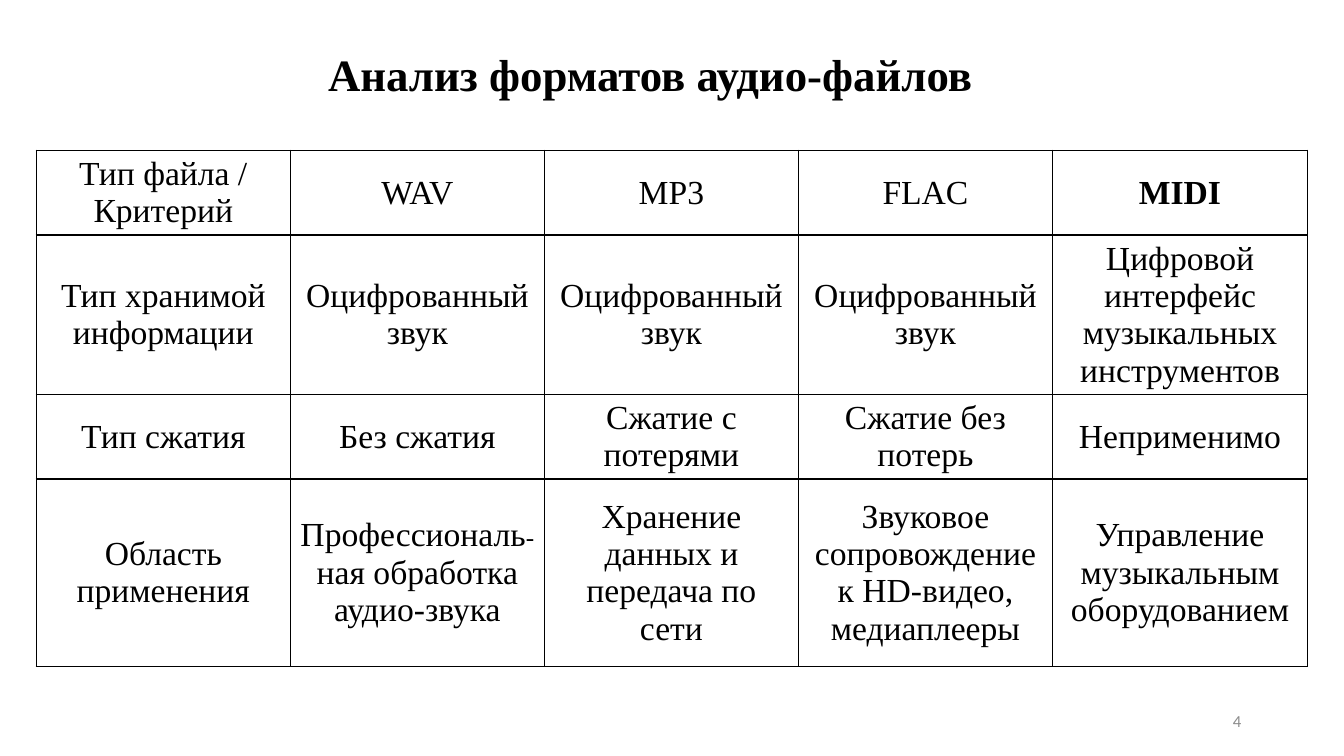
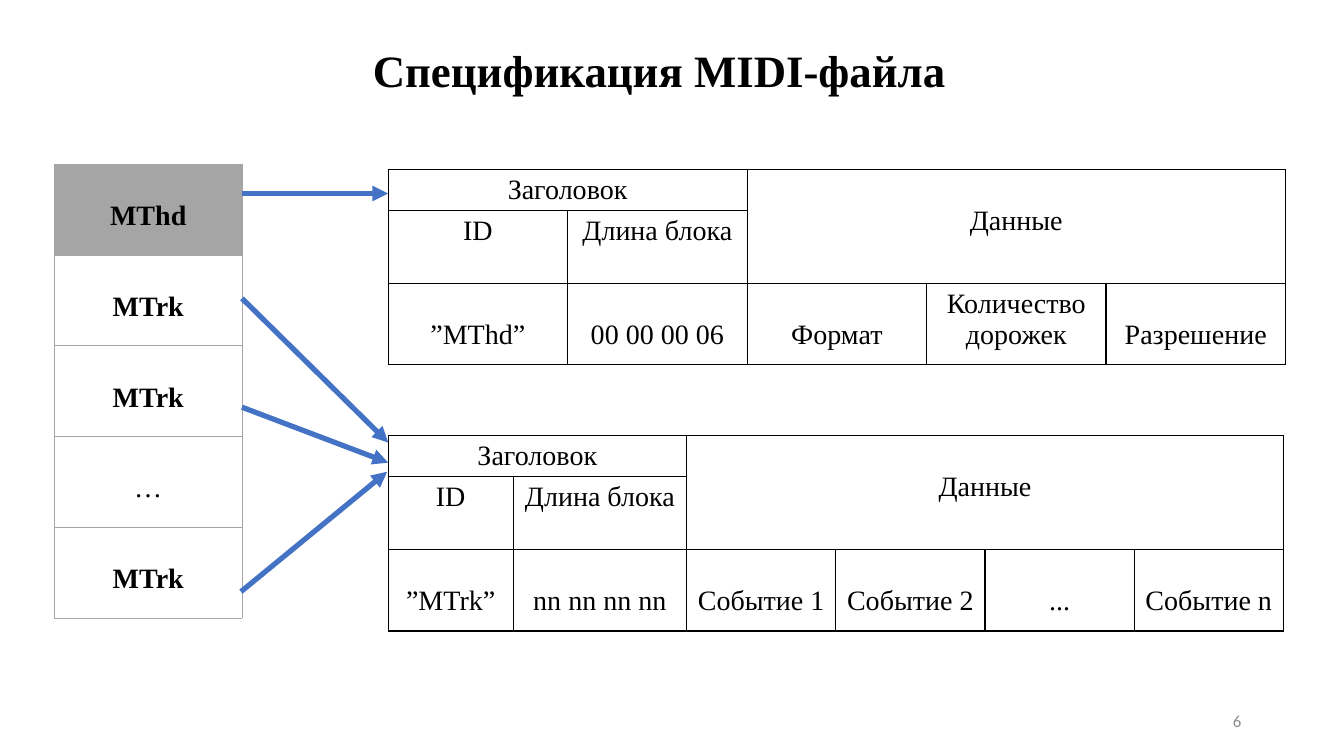
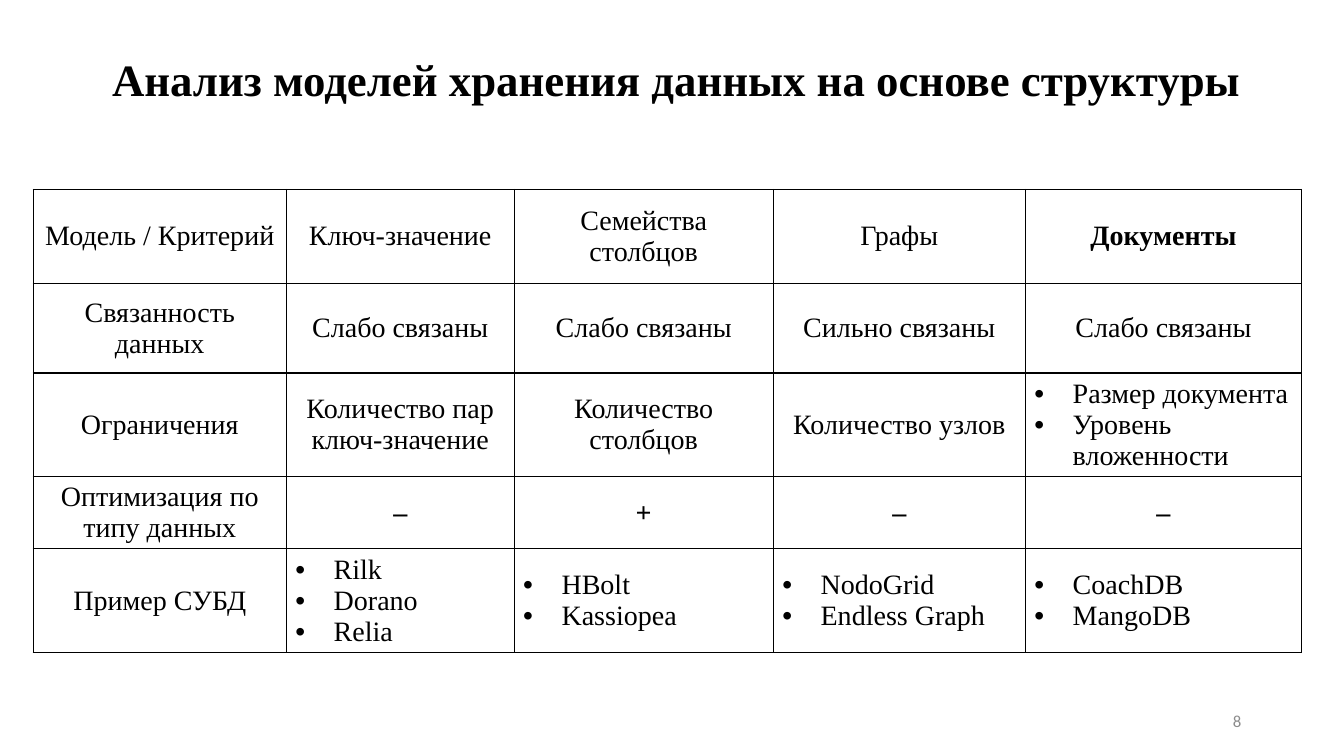
from dataclasses import dataclass

from lxml import etree
from pptx import Presentation
from pptx.dml.color import RGBColor
from pptx.enum import shapes, text
from pptx.oxml.ns import qn
from pptx.util import Emu, Pt

PX = 9144  # 100 px to the inch
COLORS = {
    "ink": "000000",
    "number": "8C8C8C",
    "grid": "A5A5A5",
    "arrow": "4472C4",
}
SERIF = "Times New Roman"
CENTER, RIGHT, LEFT = text.PP_ALIGN.CENTER, text.PP_ALIGN.RIGHT, text.PP_ALIGN.LEFT
TOP, MIDDLE = text.MSO_ANCHOR.TOP, text.MSO_ANCHOR.MIDDLE
SIDE_MARGIN = 9
LOW_TEXT = 36  # top margin that puts text on the second line of its cell
HANGING = 38
LINE_HEIGHT = 1.11  # of the text size, fixed so that rows keep their height


@dataclass(frozen=True)
class Cell:
    """Lines become paragraphs; every second part between bars is set smaller."""
    text: str
    bold: bool = False
    bullets: bool = False
    top: int = 5
    rows: int = 1
    columns: int = 1
    fill: str = ""


@dataclass(frozen=True)
class Grid:
    left: int
    top: int
    columns: list[int]
    rows: list[int]
    cells: list[list[Cell | str | None]]
    size: int = 20
    anchor: text.MSO_ANCHOR = MIDDLE
    border: str = "ink"
    weight: float = 1


@dataclass(frozen=True)
class Arrow:
    x1: int
    y1: int
    x2: int
    y2: int


@dataclass(frozen=True)
class Page:
    number: int
    title: str
    title_box: tuple[int, int, int, int]
    grids: list[Grid]
    arrows: tuple[Arrow, ...] = ()


def px(value: int) -> Emu:
    return Emu(value * PX)


def color(name: str) -> RGBColor:
    return RGBColor.from_string(COLORS[name])


def apply(target, values: dict) -> None:
    for name, value in values.items():
        setattr(target, name, value)


def add_span(para, content: str, size: float, font: str = SERIF,
             ink: str = "ink", bold: bool = False) -> None:
    span = para.add_run()
    span.text = content
    apply(span.font, {"size": Pt(size), "name": font, "bold": bold})
    span.font.color.rgb = color(ink)


def add_text(slide, box: tuple[int, int, int, int], content: str, align, spacing: float = 1,
             **look) -> None:
    frame = slide.shapes.add_textbox(*map(px, box)).text_frame
    apply(frame, {"word_wrap": True, "vertical_anchor": MIDDLE})
    para = frame.paragraphs[0]
    apply(para, {"alignment": align, "line_spacing": spacing})
    add_span(para, content, **look)


def add_bullet(para) -> None:
    properties = para._p.get_or_add_pPr()
    properties.set("marL", str(px(HANGING)))
    properties.set("indent", str(-px(HANGING)))
    etree.SubElement(properties, qn("a:buFont")).set("typeface", "Arial")
    etree.SubElement(properties, qn("a:buChar")).set("char", "•")


def add_borders(cell, border: str, weight: float) -> None:
    properties = cell._tc.get_or_add_tcPr()
    for position, side in enumerate("LRTB"):
        line = etree.Element(qn(f"a:ln{side}"), w=str(Pt(weight)))
        solid = etree.SubElement(line, qn("a:solidFill"))
        etree.SubElement(solid, qn("a:srgbClr")).set("val", COLORS[border])
        properties.insert(position, line)


def fill_cell(cell, content: Cell, grid: Grid) -> None:
    cell.margin_top = px(content.top)
    if content.fill:
        cell.fill.solid()
        cell.fill.fore_color.rgb = color(content.fill)
    for index, line in enumerate(content.text.split("\n")):
        frame = cell.text_frame
        para = frame.add_paragraph() if index else frame.paragraphs[0]
        apply(para, {"alignment": LEFT if content.bullets else CENTER,
                     "line_spacing": Pt(grid.size * LINE_HEIGHT)})
        if content.bullets:
            add_bullet(para)
        for part, words in enumerate(line.split("|")):
            add_span(para, words, 18 if part % 2 else grid.size, bold=content.bold)


def add_grid(slide, grid: Grid) -> None:
    table = slide.shapes.add_table(
        len(grid.rows), len(grid.columns), px(grid.left), px(grid.top),
        px(sum(grid.columns)), px(sum(grid.rows))).table
    apply(table, {"first_row": False, "horz_banding": False})
    for column, width in zip(table.columns, grid.columns):
        column.width = px(width)
    for row, height in zip(table.rows, grid.rows):
        row.height = px(height)
    for y, line in enumerate(grid.cells):
        for x, content in enumerate(line):
            cell = table.cell(y, x)
            apply(cell, {"vertical_anchor": grid.anchor, "margin_left": px(SIDE_MARGIN),
                         "margin_right": px(SIDE_MARGIN)})
            cell.fill.background()
            if content is not None:
                content = Cell(content) if isinstance(content, str) else content
                fill_cell(cell, content, grid)
                if content.rows * content.columns > 1:
                    cell.merge(table.cell(y + content.rows - 1, x + content.columns - 1))
            add_borders(cell, grid.border, grid.weight)


def add_arrow(slide, arrow: Arrow) -> None:
    line = slide.shapes.add_connector(
        shapes.MSO_CONNECTOR.STRAIGHT, px(arrow.x1), px(arrow.y1), px(arrow.x2), px(arrow.y2))
    line.line.width = Pt(3.75)
    line.line.color.rgb = color("arrow")
    etree.SubElement(line.line._get_or_add_ln(), qn("a:tailEnd")).set("type", "triangle")
    etree.SubElement(line._element.spPr, qn("a:effectLst"))


def low(content: str, **options) -> Cell:
    return Cell(content, top=LOW_TEXT, **options)


def bullets(*lines: str) -> Cell:
    return Cell("\n".join(lines), bullets=True)


def block_grid(top: int, columns: list[int], values: list[Cell]) -> Grid:
    """Layout of one file block: a header of two fields, then its data."""
    data = len(columns) - 2
    rest = [None] * data
    return Grid(385, top, columns, [41, 72, 81], [
        [Cell("Заголовок", columns=2), None, low("Данные", rows=2, columns=data), *rest[1:]],
        ["ID", "Длина блока", *rest],
        values,
    ], anchor=TOP)


SOUND = "Оцифрованный звук"
LOOSE = "Слабо связаны"
MINUS = Cell("–", bold=True)
TRACK = low("MTrk", bold=True)

formats = Grid(36, 149, [252] * 4 + [253], [83, 158, 83, 186], [
    ["Тип файла / Критерий", "WAV", "MP3", "FLAC", Cell("MIDI", bold=True)],
    ["Тип хранимой информации", SOUND, SOUND, "Оцифрованный\nзвук",
     "Цифровой интерфейс музыкальных инструментов"],
    ["Тип сжатия", "Без сжатия", "Сжатие с потерями", "Сжатие без потерь", "Неприменимо"],
    ["Область применения", "Профессиональ|-|ная обработка аудио-звука",
     "Хранение данных и передача по сети",
     "Звуковое сопровождение к HD-видео, медиаплееры",
     "Управление музыкальным оборудованием"],
], size=24)

header_block = block_grid(168, [178] * 5, [
    low("”MThd”"), low("00 00 00 06"), low("Формат"),
    Cell("Количество\nдорожек"), low("Разрешение")])

track_block = block_grid(432, [124, 172] + [148] * 4, [
    low(words) for words in
    ("”MTrk”", "nn nn nn nn", "Событие 1", "Событие 2", "...", "Событие n")])

file_blocks = Grid(54, 163, [186], [90] * 5, [
    [low("MThd", bold=True, fill="grid")], [TRACK], [TRACK], [low("…")], [TRACK],
], anchor=TOP, border="grid", weight=0.5)

models = Grid(33, 188, [251, 226, 257, 250, 274], [93, 89, 102, 72, 103], [
    ["Модель / Критерий", "Ключ-значение", "Семейства столбцов", "Графы",
     Cell("Документы", bold=True)],
    ["Связанность данных", LOOSE, LOOSE, "Сильно связаны", LOOSE],
    ["Ограничения", "Количество пар ключ-значение", "Количество столбцов",
     "Количество узлов", bullets("Размер документа", "Уровень вложенности")],
    ["Оптимизация по типу данных", MINUS, Cell("+", bold=True), MINUS, MINUS],
    ["Пример СУБД", bullets("Rilk", "Dorano", "Relia"), bullets("HBolt", "Kassiopea"),
     bullets("NodoGrid", "Endless Graph"), bullets("CoachDB", "MangoDB")],
])

PAGES = [
    Page(4, "Анализ форматов аудио-файлов", (70, 14, 1150, 124), [formats]),
    Page(6, "Спецификация MIDI-файла", (79, 0, 1150, 145),
         [header_block, track_block, file_blocks],
         (Arrow(240, 192, 385, 192), Arrow(240, 296, 385, 439),
          Arrow(240, 404, 385, 459), Arrow(239, 587, 384, 468))),
    Page(8, "Анализ моделей хранения данных на основе структуры",
         (14, 21, 1314, 120), [models]),
]


def main() -> None:
    deck = Presentation()
    apply(deck, {"slide_width": px(1333), "slide_height": px(750)})
    for page in PAGES:
        slide = deck.slides.add_slide(deck.slide_layouts[6])
        add_text(slide, page.title_box, page.title, CENTER, 0.9, size=32, bold=True)
        add_text(slide, (941, 695, 300, 40), str(page.number), RIGHT,
                 size=12, font="Calibri", ink="number")
        for grid in page.grids:
            add_grid(slide, grid)
        for arrow in page.arrows:
            add_arrow(slide, arrow)
    deck.save("out.pptx")


if __name__ == "__main__":
    main()
